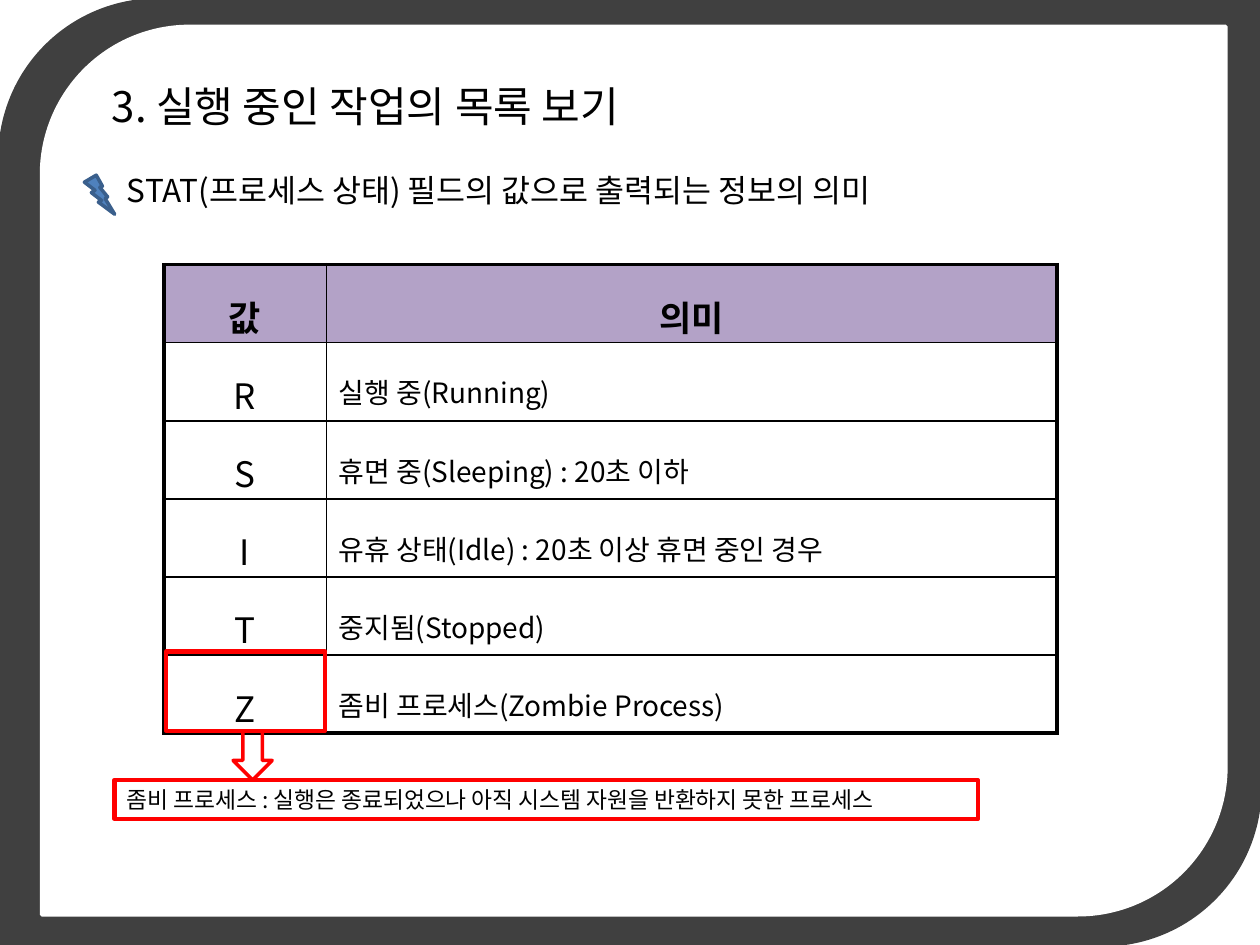
"""Build the slide explaining the values of the STAT process field."""
import dataclasses
import typing

import pptx
import pptx.chart.data
import pptx.dml.color
import pptx.enum.shapes
import pptx.enum.text
import pptx.oxml
import pptx.oxml.ns
import pptx.util

WIDTH, HEIGHT = 10, 7.5
FONT = "Noto Sans CJK KR"
BLACK, WHITE, RED, FRAME = "000000", "FFFFFF", "FF0000", "404040"
HEADER_FILL = "B3A2C7"
THICK, THIN = 2.25, 1
COLUMNS = (1.29, 5.8)
ROW = 0.62
TABLE_LEFT, TABLE_TOP = 1.3, 2.1
ROWS = (
    ("값", "의미"),
    ("R", "실행 중(Running)"),
    ("S", "휴면 중(Sleeping) : 20초 이하"),
    ("I", "유휴 상태(Idle) : 20초 이상 휴면 중인 경우"),
    ("T", "중지됨(Stopped)"),
    ("Z", "좀비 프로세스(Zombie Process)"),
)
SHAPES = pptx.enum.shapes.MSO_SHAPE


class Box(typing.NamedTuple):
    """Left, top, width and height in inches."""

    left: float
    top: float
    width: float
    height: float


@dataclasses.dataclass(frozen=True)
class Figure:
    """A preset shape with its box and colours."""

    preset: pptx.enum.shapes.MSO_SHAPE
    box: Box
    line: str
    line_width: float = 2
    fill: typing.Optional[str] = None


@dataclasses.dataclass(frozen=True)
class Label:
    """A single line of text in a box."""

    box: Box
    text: str
    size: float


BACKDROP = (
    Figure(SHAPES.ROUND_2_DIAG_RECTANGLE, Box(0, 0, WIDTH, HEIGHT), FRAME, fill=FRAME),
    Figure(SHAPES.ROUND_2_DIAG_RECTANGLE,
           Box(0.33, 0.21, WIDTH * 0.94, HEIGHT * 0.94), WHITE, fill=WHITE),
    Figure(SHAPES.LIGHTNING_BOLT, Box(0.67, 1.39, 0.24, 0.31), "3A5F8C", fill="4F81BD"),
)
MARKERS = (
    Figure(SHAPES.RECTANGLE, Box(1.32, 5.17, 1.26, 0.63), RED, 2.5),
    Figure(SHAPES.DOWN_ARROW, Box(1.85, 5.8, 0.31, 0.39), RED),
    Figure(SHAPES.RECTANGLE, Box(0.91, 6.19, 6.85, 0.31), RED, 2.5),
)
LABELS = (
    Label(Box(0.79, 0.59, 8.2, 0.5), "3. 실행 중인 작업의 목록 보기", 24),
    Label(Box(0.91, 1.31, 7.8, 0.4),
          "STAT(프로세스 상태) 필드의 값으로 출력되는 정보의 의미", 18),
    Label(Box(0.91, 6.19, 7.8, 0.32),
          "좀비 프로세스 : 실행은 종료되었으나 아직 시스템 자원을 반환하지 못한 프로세스", 13),
)


def color(value: str) -> pptx.dml.color.RGBColor:
    """Turn a hex string into a colour."""
    return pptx.dml.color.RGBColor.from_string(value)


def inches(box: Box) -> list:
    """Turn a box into lengths."""
    return [pptx.util.Inches(length) for length in box]


def add_run(paragraph, text: str, size: float, bold: bool = False) -> None:
    """Add one formatted run."""
    run = paragraph.add_run()
    run.text = text
    run.font.size = pptx.util.Pt(size)
    run.font.bold = bold
    run.font.name = FONT
    run.font.color.rgb = color(BLACK)
    east_asian = pptx.oxml.parse_xml(
        f'<a:ea {pptx.oxml.ns.nsdecls("a")} typeface="{FONT}"/>')
    run.font._element.find(pptx.oxml.ns.qn("a:latin")).addnext(east_asian)


def add_figure(slide, figure: Figure) -> None:
    """Draw a preset shape."""
    shape = slide.shapes.add_shape(figure.preset, *inches(figure.box))
    shape.shadow.inherit = False
    if figure.fill:
        shape.fill.solid()
        shape.fill.fore_color.rgb = color(figure.fill)
    else:
        shape.fill.background()
    shape.line.color.rgb = color(figure.line)
    shape.line.width = pptx.util.Pt(figure.line_width)


def add_label(slide, label: Label) -> None:
    """Draw a line of text with a hanging indent."""
    shape = slide.shapes.add_textbox(*inches(label.box))
    frame = shape.text_frame
    frame.word_wrap = True
    frame.auto_size = pptx.enum.text.MSO_AUTO_SIZE.SHAPE_TO_FIT_TEXT
    paragraph = frame.paragraphs[0]
    properties = paragraph._p.get_or_add_pPr()
    properties.set("marL", str(pptx.util.Inches(0.38)))
    properties.set("indent", str(pptx.util.Inches(-0.38)))
    add_run(paragraph, label.text, label.size)


def set_borders(cell, widths: dict) -> None:
    """Give each side of a cell a black line."""
    properties = cell._tc.get_or_add_tcPr()
    for position, (side, width) in enumerate(widths.items()):
        properties.insert(position, pptx.oxml.parse_xml(
            f'<a:ln{side} {pptx.oxml.ns.nsdecls("a")} w="{pptx.util.Pt(width)}">'
            f'<a:solidFill><a:srgbClr val="{BLACK}"/></a:solidFill></a:ln{side}>'))


def fill_cell(cell, row: int, column: int) -> None:
    """Write and format one cell by its place in the grid."""
    header = row == 0
    centred = header or column == 0
    cell.margin_top = cell.margin_bottom = 0
    cell.vertical_anchor = pptx.enum.text.MSO_ANCHOR.MIDDLE
    if header:
        cell.fill.solid()
        cell.fill.fore_color.rgb = color(HEADER_FILL)
    else:
        cell.fill.background()
    paragraph = cell.text_frame.paragraphs[0]
    paragraph.line_spacing = 1.5
    if centred:
        paragraph.alignment = pptx.enum.text.PP_ALIGN.CENTER
    add_run(paragraph, ROWS[row][column], 20 if centred else 16, header)
    outer = {"L": column == 0, "R": column == len(COLUMNS) - 1,
             "T": header, "B": row == len(ROWS) - 1}
    set_borders(cell, {side: THICK if edge else THIN for side, edge in outer.items()})


def add_states(slide) -> None:
    """Draw the table of process states."""
    box = Box(TABLE_LEFT, TABLE_TOP, sum(COLUMNS), ROW * len(ROWS))
    table = slide.shapes.add_table(len(ROWS), len(COLUMNS), *inches(box)).table
    table.first_row = table.horz_banding = False
    for column, width in zip(table.columns, COLUMNS):
        column.width = pptx.util.Inches(width)
    for row in range(len(ROWS)):
        table.rows[row].height = pptx.util.Inches(ROW)
        for column in range(len(COLUMNS)):
            fill_cell(table.cell(row, column), row, column)


def main() -> None:
    """Build and save the presentation."""
    presentation = pptx.Presentation()
    presentation.slide_width = pptx.util.Inches(WIDTH)
    presentation.slide_height = pptx.util.Inches(HEIGHT)
    slide = presentation.slides.add_slide(presentation.slide_layouts[6])
    for figure in BACKDROP:
        add_figure(slide, figure)
    for label in LABELS:
        add_label(slide, label)
    add_states(slide)
    for figure in MARKERS:
        add_figure(slide, figure)
    presentation.save("out.pptx")


if __name__ == "__main__":
    main()
